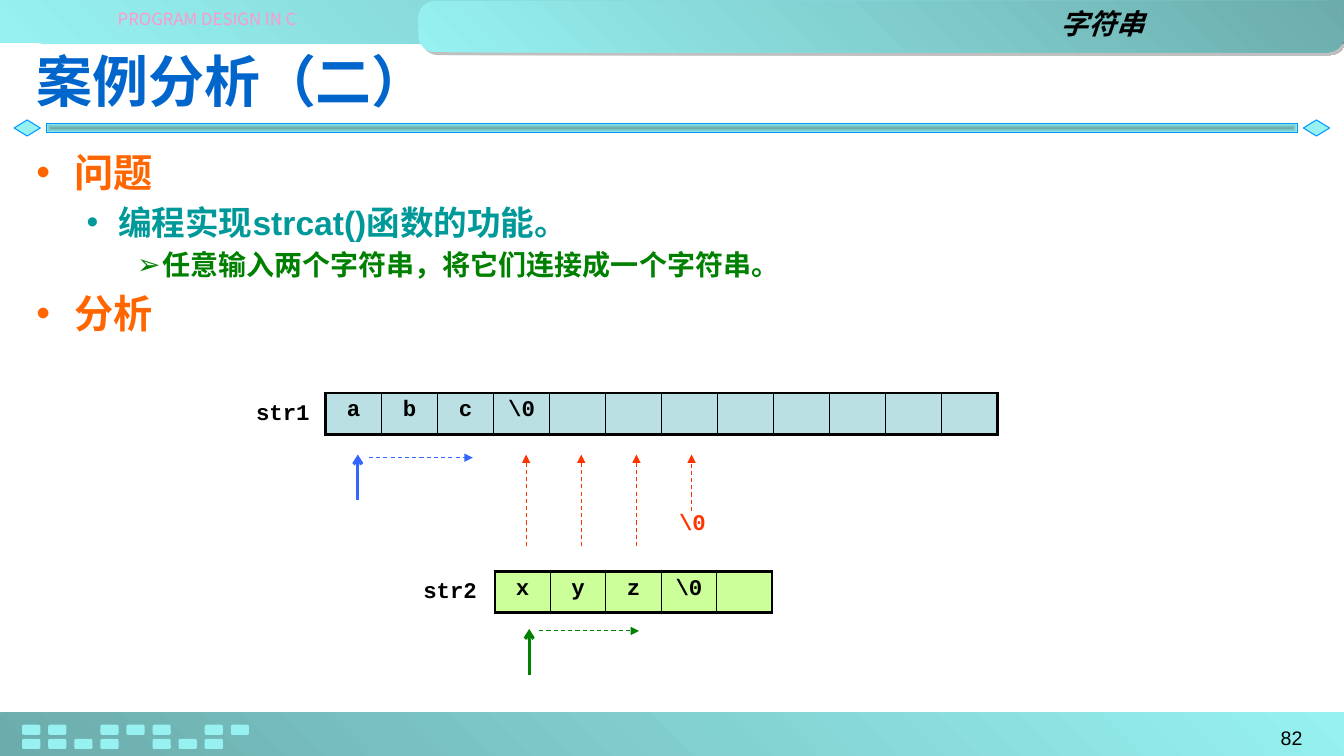
from lxml.etree import SubElement
from pptx import Presentation
from pptx.dml.color import RGBColor
from pptx.enum.dml import MSO_LINE
from pptx.enum.shapes import MSO_CONNECTOR, MSO_SHAPE
from pptx.enum.text import MSO_ANCHOR, MSO_AUTO_SIZE, PP_ALIGN
from pptx.oxml import parse_xml
from pptx.oxml.ns import nsdecls, qn
from pptx.util import Pt

COLORS = {
    "aqua": "97F1F1", "edge": "0099FF", "shadow": "808080", "black": "000000",
    "pink": "FF99CC", "title": "0066CC", "orange": "FF6600", "teal": "009999",
    "green": "008000", "blue": "3366FF", "red": "FF3300",
    "pale blue": "BBE0E3", "lime": "CCFF99",
}
CODE_FONT = "Courier New"
TITLE = "案例分析（二）"
BULLETS = [  # level, text
    (0, "问题"),
    (1, "编程实现strcat()函数的功能。"),
    (2, "任意输入两个字符串，将它们连接成一个字符串。"),
    (0, "分析"),
]
LEVELS = [  # bullet, left margin, hanging indent, size, color
    ("•", 27, 27, 28, "orange"),
    ("•", 58.5, 22.5, 24, "teal"),
    ("➢", 90, 18, 20, "green"),
]
LABELS = [  # text, (left, top, width, height), format
    ("PROGRAM DESIGN IN C", (21.6, 5, 252.7, 15.8),
     dict(size=12, color="pink", font="Noto Sans CJK SC",
          align=PP_ALIGN.CENTER, wrap=False, top_margin=1.3)),
    ("82", (805, 514.8, 132.5, 20.2), dict(size=14, align=PP_ALIGN.RIGHT)),
    ("字符串", (362.9, 1.4, 461.5, 31),
     dict(size=20, bold=True, italic=True, align=PP_ALIGN.RIGHT)),
    ("str1", (169.9, 280.8, 58.3, 26.6),
     dict(size=16, font=CODE_FONT, bold=True, align=PP_ALIGN.RIGHT)),
    ("str2", (289.4, 408.2, 58.3, 26.6),
     dict(size=16, font=CODE_FONT, bold=True, align=PP_ALIGN.RIGHT)),
    ("\\0", (474.5, 359.3, 40.3, 26.6),
     dict(size=16, font=CODE_FONT, bold=True, color="red", align=PP_ALIGN.CENTER)),
]
ARRAYS = [  # characters, cell count, left, top, cell width, fill
    (["x", "y", "z", "\\0"], 5, 353.5, 408.2, 39.6, "lime"),
    (["a", "b", "c", "\\0"], 12, 232.6, 280.8, 40, "pale blue"),
]
POINTERS = [  # start, end, color, width, dashed
    ((255.6, 357.1), (255.6, 324.7), "blue", 2.25, False),
    ((378, 482.4), (378, 449.3), "green", 2.25, False),
    ((385.2, 450.7), (456.5, 450.7), "green", 0.75, True),
    ((263.5, 326.9), (337.7, 326.9), "blue", 0.75, True),
]
COPY_STARTS = [390.2, 390.2, 390.2, 365]
COPY_LEFT, COPY_STEP, COPY_TOP = 375.8, 39.4, 324.7
DOT_ROWS = ["XX.XXX.XX", "XXXX.XXX."]


def rgb(name):
    return RGBColor.from_string(COLORS[name])


def write(para, text, *, size, color="black", font="Arial", bold=False,
          italic=False, align=None):
    span = para.add_run()
    span.text = text
    span.font.size = Pt(size)
    span.font.name = font
    span.font.bold = bold
    span.font.italic = italic
    span.font.color.rgb = rgb(color)
    SubElement(span.font._element, qn("a:ea")).set("typeface", font)
    if align is not None:
        para.alignment = align


def place(item, left, top, width, height):
    item.left, item.top = Pt(left), Pt(top)
    item.width, item.height = Pt(width), Pt(height)


def add_label(page, text, area, *, wrap=True, top_margin=3.6, **style):
    box = page.shapes.add_textbox(*map(Pt, area))
    box.text_frame.word_wrap = wrap
    box.text_frame.margin_top = Pt(top_margin)
    write(box.text_frame.paragraphs[0], text, **style)


def add_plain(page, kind, area, line=None, radius=None):
    shape = page.shapes.add_shape(kind, *map(Pt, area))
    shape.shadow.inherit = False
    shape.fill.solid()
    shape.fill.fore_color.rgb = rgb("aqua")
    if line:
        shape.line.color.rgb = rgb(line)
        shape.line.width = Pt(0.75)
    else:
        shape.line.fill.background()
    if radius is not None:
        shape.adjustments[0] = radius
    return shape


def shade_fill(shape, dark_first, direction):
    """Blend between aqua and its dark shade, along the given direction element."""
    light = f'<a:srgbClr val="{COLORS["aqua"]}"/>'
    dark = f'<a:srgbClr val="{COLORS["aqua"]}"><a:shade val="46275"/></a:srgbClr>'
    first, last = (dark, light) if dark_first else (light, dark)
    properties = shape._element.spPr
    solid = properties.find(qn("a:solidFill"))
    properties.replace(solid, parse_xml(
        f'<a:gradFill {nsdecls("a")} rotWithShape="1"><a:gsLst>'
        f'<a:gs pos="0">{first}</a:gs><a:gs pos="100000">{last}</a:gs>'
        f'</a:gsLst>{direction}</a:gradFill>'))


def add_frame(page):
    slant = '<a:lin ang="18900000" scaled="1"/>'
    center = ('<a:path path="shape"><a:fillToRect l="50000" t="50000" '
              'r="50000" b="50000"/></a:path>')
    footer = add_plain(page, MSO_SHAPE.RECTANGLE, (0, 509, 960, 31))
    shade_fill(footer, True, slant)
    header = add_plain(page, MSO_SHAPE.RECTANGLE, (0, 0, 960, 31))
    shade_fill(header, False, slant)
    tab = add_plain(page, MSO_SHAPE.ROUNDED_RECTANGLE, (298.8, 0.7, 661.2, 36.7),
                    radius=0.333)
    shade_fill(tab, False, slant)
    effects = tab._element.spPr.find(qn("a:effectLst"))
    effects.append(parse_xml(
        f'<a:outerShdw {nsdecls("a")} blurRad="0" dist="{Pt(2.8)}" dir="2700000">'
        f'<a:srgbClr val="{COLORS["shadow"]}"><a:alpha val="50000"/></a:srgbClr>'
        '</a:outerShdw>'))
    for left in (10.1, 931):
        add_plain(page, MSO_SHAPE.DIAMOND, (left, 85.7, 18.7, 11.5), line="edge")
    rule = add_plain(page, MSO_SHAPE.RECTANGLE, (33, 88, 893.5, 6.8), line="edge")
    shade_fill(rule, True, center)
    for row, pattern in enumerate(DOT_ROWS):
        for column, mark in enumerate(pattern):
            if mark == "X":
                add_plain(page, MSO_SHAPE.ROUNDED_RECTANGLE,
                          (15.8 + 18.63 * column, 517.7 + 10.1 * row, 13, 7.2),
                          radius=0.167)


def set_borders(cell, widths):
    properties = cell._tc.get_or_add_tcPr()
    for index, (side, width) in enumerate(zip("LRTB", widths)):
        properties.insert(index, parse_xml(
            f'<a:ln{side} {nsdecls("a")} w="{Pt(width)}"><a:solidFill>'
            f'<a:srgbClr val="{COLORS["black"]}"/></a:solidFill></a:ln{side}>'))


def add_array(page, characters, count, left, top, cell_width, fill):
    table = page.shapes.add_table(1, count, Pt(left), Pt(top),
                                  Pt(cell_width * count), Pt(29.5)).table
    table.first_row = table.horz_banding = False
    for index, cell in enumerate(table.rows[0].cells):
        table.columns[index].width = Pt(cell_width)
        cell.fill.solid()
        cell.fill.fore_color.rgb = rgb(fill)
        set_borders(cell, (2.25 if index == 0 else 1,
                           2.25 if index == count - 1 else 1, 2.25, 2.25))
        if index < len(characters):
            write(cell.text_frame.paragraphs[0], characters[index], size=16,
                  font=CODE_FONT, bold=True, align=PP_ALIGN.CENTER)


def add_arrow(page, start, end, color, width, dashed):
    arrow = page.shapes.add_connector(MSO_CONNECTOR.STRAIGHT, *map(Pt, start + end))
    arrow.line.color.rgb = rgb(color)
    arrow.line.width = Pt(width)
    if dashed:
        arrow.line.dash_style = MSO_LINE.DASH
    head = SubElement(arrow.line._get_or_add_ln(), qn("a:tailEnd"))
    head.set("type", "triangle" if dashed else "arrow")
    SubElement(arrow._element.spPr, qn("a:effectLst"))


def fill_placeholders(page):
    title, body = page.shapes.title, page.placeholders[1]
    place(title, 18.7, 25.9, 922.3, 62.6)
    title.text_frame.vertical_anchor = MSO_ANCHOR.MIDDLE
    write(title.text_frame.paragraphs[0], TITLE, size=40, color="title",
          font="Noto Sans CJK JP", bold=True, align=PP_ALIGN.LEFT)
    place(body, 18.7, 102.2, 922.3, 397.4)
    frame = body.text_frame
    frame.auto_size = MSO_AUTO_SIZE.NONE
    for index, (level, text) in enumerate(BULLETS):
        para = frame.add_paragraph() if index else frame.paragraphs[0]
        bullet, margin, hanging, size, color = LEVELS[level]
        para.level = level
        properties = para._p.get_or_add_pPr()
        properties.set("marL", str(Pt(margin)))
        properties.set("indent", str(-Pt(hanging)))
        SubElement(properties, qn("a:buFont")).set("typeface", "Arial")
        SubElement(properties, qn("a:buChar")).set("char", bullet)
        write(para, text, size=size, color=color, bold=True)


def main():
    deck = Presentation()
    deck.slide_width, deck.slide_height = Pt(960), Pt(540)
    page = deck.slides.add_slide(deck.slide_layouts[1])
    add_frame(page)
    fill_placeholders(page)
    for array in ARRAYS:
        add_array(page, *array)
    for pointer in POINTERS:
        add_arrow(page, *pointer)
    for index, start in enumerate(COPY_STARTS):
        x = COPY_LEFT + COPY_STEP * index
        add_arrow(page, (x, start), (x, COPY_TOP), "red", 0.75, True)
    for text, area, style in LABELS:
        add_label(page, text, area, **style)
    deck.save("out.pptx")


if __name__ == "__main__":
    main()
